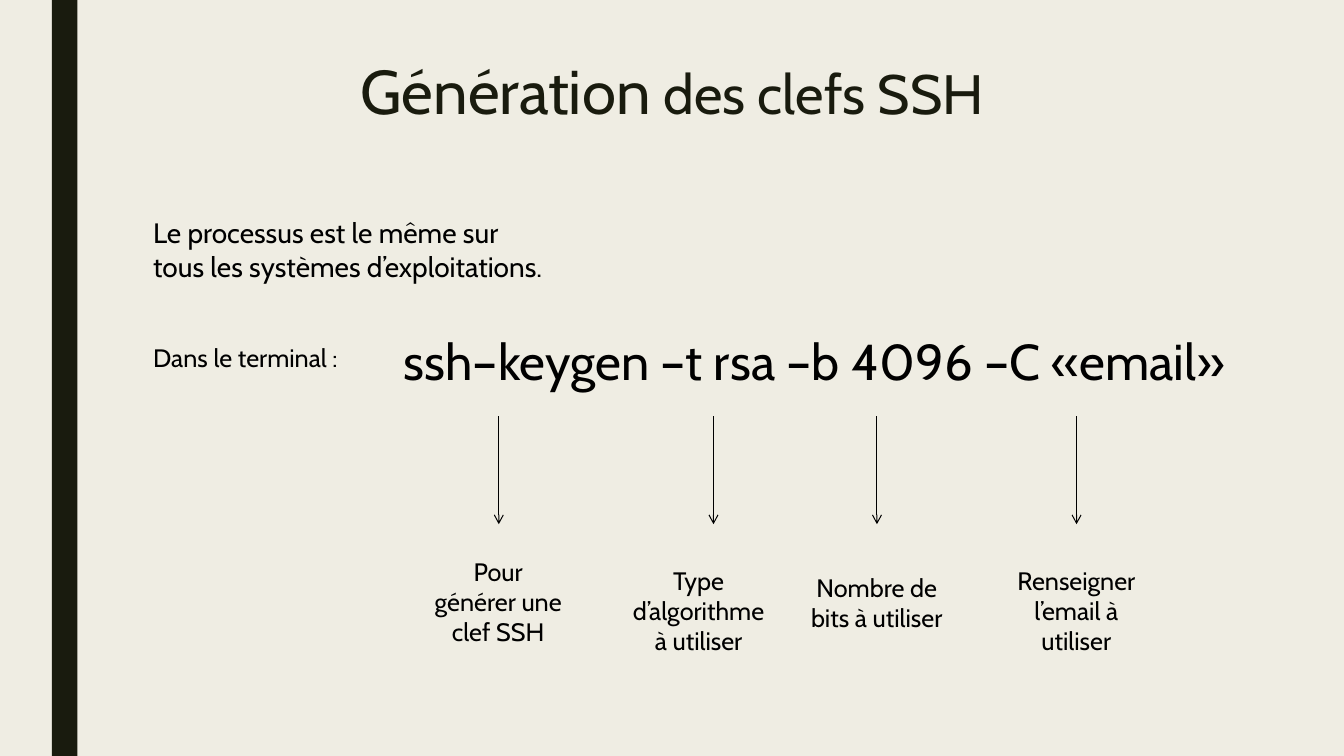
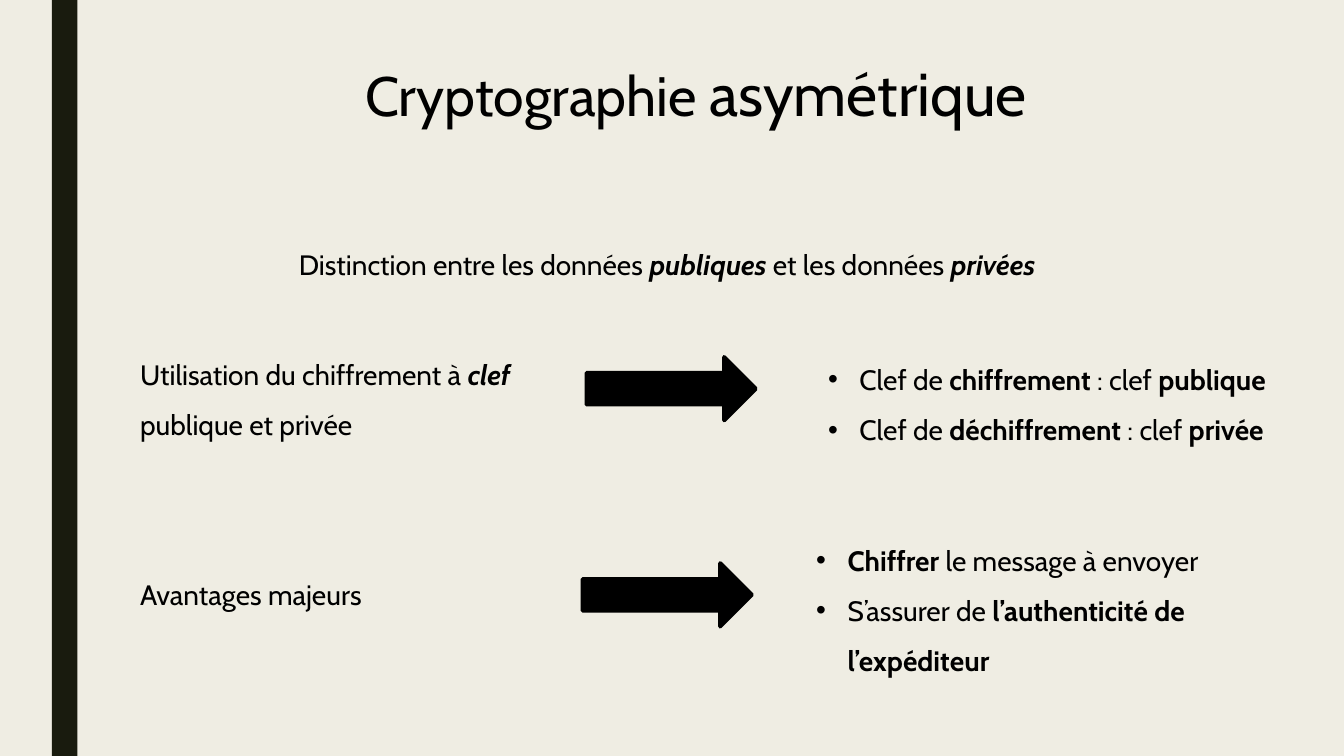
from lxml import etree
from pptx import Presentation
from pptx.dml.color import RGBColor
from pptx.enum.shapes import MSO_CONNECTOR as Connector, MSO_SHAPE as Shape
from pptx.enum.text import MSO_ANCHOR as Anchor, PP_ALIGN as Align
from pptx.oxml.ns import qn
from pptx.util import Cm, Pt

# Shared look
CREAM = RGBColor(0xEF, 0xED, 0xE3)
OLIVE = RGBColor(0x19, 0x1B, 0x0E)
BLACK = RGBColor(0, 0, 0)
FONT = "Cabin"
PAGE_WIDTH, PAGE_HEIGHT = 33.87, 19.05
BAND = (1.31, 0, 0.64, PAGE_HEIGHT)
INDENT = Cm(0.79)
PLAIN, BOLD, BOLD_ITALIC = (False, False), (True, False), (True, True)


def lengths(box):
    return [Cm(value) for value in box]


def add_span(para, text, size, color=BLACK, style=PLAIN):
    span = para.add_run()
    span.text = text
    font = span.font
    font.name, font.size = FONT, Pt(size)
    font.color.rgb = color
    font.bold, font.italic = style


def add_bullet(para):
    props = para._p.get_or_add_pPr()
    props.set("marL", str(INDENT))
    props.set("indent", str(-INDENT))
    etree.SubElement(props, qn("a:buFont")).set("typeface", "Arial")
    etree.SubElement(props, qn("a:buChar")).set("char", "•")


def add_text(page, box, paras, size=20, align=Align.LEFT, spacing=1.0,
             bullets=False, wrap=True):
    """Each paragraph is a list of (text, style) spans."""
    frame = page.shapes.add_textbox(*lengths(box)).text_frame
    frame.word_wrap = wrap
    frame.vertical_anchor = Anchor.TOP
    for index, spans in enumerate(paras):
        para = frame.add_paragraph() if index else frame.paragraphs[0]
        para.alignment, para.line_spacing = align, spacing
        if bullets:
            add_bullet(para)
        for text, style in spans:
            add_span(para, text, size, style=style)


def add_block(page, box, kind, color, line_width=None):
    block = page.shapes.add_shape(kind, *lengths(box))
    block.shadow.inherit = False
    block.fill.solid()
    block.fill.fore_color.rgb = color
    if line_width is None:
        block.line.fill.background()
    else:
        block.line.color.rgb = color
        block.line.width = Pt(line_width)


def add_page(deck):
    page = deck.slides.add_slide(deck.slide_layouts[6])
    page.background.fill.solid()
    page.background.fill.fore_color.rgb = CREAM
    add_block(page, BAND, Shape.RECTANGLE, OLIVE)
    return page


def add_title(page, box, spans, color):
    frame = page.shapes.add_textbox(*lengths(box)).text_frame
    frame.word_wrap = True
    para = frame.paragraphs[0]
    para.alignment, para.line_spacing = Align.CENTER, 0.89
    for text, size in spans:
        add_span(para, text, size, color)


def add_option(page, box, arrow_x, label, label_drop):
    """A thin arrow down to the explanation of one part of the command."""
    left, top, width, height = box
    arrow = page.shapes.add_connector(
        Connector.STRAIGHT,
        *lengths((left + arrow_x, top, left + arrow_x, top + 2.72)))
    arrow.line.color.rgb = BLACK
    arrow.line.width = Pt(0.75)
    etree.SubElement(arrow.line._get_or_add_ln(),
                     qn("a:tailEnd")).set("type", "arrow")
    etree.SubElement(arrow._element.spPr, qn("a:effectLst"))
    add_text(page, (left, top + label_drop, width, height - label_drop),
             [[(label, PLAIN)]], size=18, align=Align.CENTER)


def add_idea_row(page, box, idea, idea_height, idea_spacing,
                 arrow_x, points, points_width):
    """An idea, a thick arrow and a bullet list, around one middle line."""
    left, top, width, height = box
    middle = top + height / 2
    add_text(page, (left, middle - idea_height / 2, 11.61, idea_height),
             [idea], spacing=idea_spacing)
    add_block(page, (left + arrow_x, middle - 0.8, 4.27, 1.6),
              Shape.RIGHT_ARROW, BLACK, 2.75)
    add_text(page, (left + width - points_width, top + 0.12,
                    points_width, height),
             points, spacing=1.5, bullets=True)


def build_key_generation(deck):
    page = add_page(deck)
    add_title(page, (3.61, 1.42, 26.67, 2.72),
              [("Génération", 44.1), (" des clefs SSH", 39.6)], OLIVE)

    # Introduction and command
    add_text(page, (3.61, 5.31, 10.64, 1.96), [[(
        "Le processus est le même sur tous les systèmes d’exploitations.",
        PLAIN)]])
    add_text(page, (3.61, 8.51, 5.28, 1.02),
             [[("Dans le terminal :", PLAIN)]], size=18)
    add_text(page, (9.93, 8.2, 21.34, 1.8),
             [[("ssh–keygen –t rsa –b 4096 –C «email»", PLAIN)]],
             size=36, wrap=False)

    # Meaning of each part of the command
    options = [
        (10.6, 1.97, "Pour générer une clef SSH", 3.4),
        (15.65, 2.33, "Type d’algorithme à utiliser", 3.63),
        (20.14, 1.96, "Nombre de bits à utiliser", 3.81),
        (25.17, 1.96, "Renseigner l’email à utiliser", 3.63),
    ]
    for left, arrow_x, label, drop in options:
        add_option(page, (left, 10.49, 3.91, 6.2), arrow_x, label, drop)


def build_asymmetric_cryptography(deck):
    page = add_page(deck)
    add_title(page, (4.6, 1.52, 25.88, 2.39),
              [("Cryptographie ", 39.6), ("asymétrique", 43.2)], BLACK)
    add_text(page, (6.83, 5.69, 19.96, 1.37), [[
        ("Distinction entre les données ", PLAIN),
        ("publiques", BOLD_ITALIC),
        (" et les données ", PLAIN),
        ("privées", BOLD_ITALIC),
    ]], align=Align.CENTER, spacing=1.5)

    # Keys
    add_idea_row(
        page, (3.28, 8.46, 29.33, 2.67),
        [("Utilisation du chiffrement à ", PLAIN), ("clef", BOLD_ITALIC),
         (" publique et privée", PLAIN)], 2.67, 1.5, 11.5,
        [[("Clef de ", PLAIN), (action, BOLD),
          (" : clef ", PLAIN), (key, BOLD)]
         for action, key in (("chiffrement", "publique"),
                             ("déchiffrement", "privée"))], 11.99)

    # Benefits
    add_idea_row(
        page, (3.28, 13.02, 29.92, 3.94),
        [("Avantages majeurs", PLAIN)], 1.12, 1.0, 11.4,
        [[("Chiffrer", BOLD), (" le message à envoyer", PLAIN)],
         [("S’assurer de ", PLAIN),
          ("l’authenticité de l’expéditeur", BOLD)]], 12.88)


def main():
    deck = Presentation()
    deck.slide_width, deck.slide_height = Cm(PAGE_WIDTH), Cm(PAGE_HEIGHT)
    build_key_generation(deck)
    build_asymmetric_cryptography(deck)
    deck.save("out.pptx")


if __name__ == "__main__":
    main()
